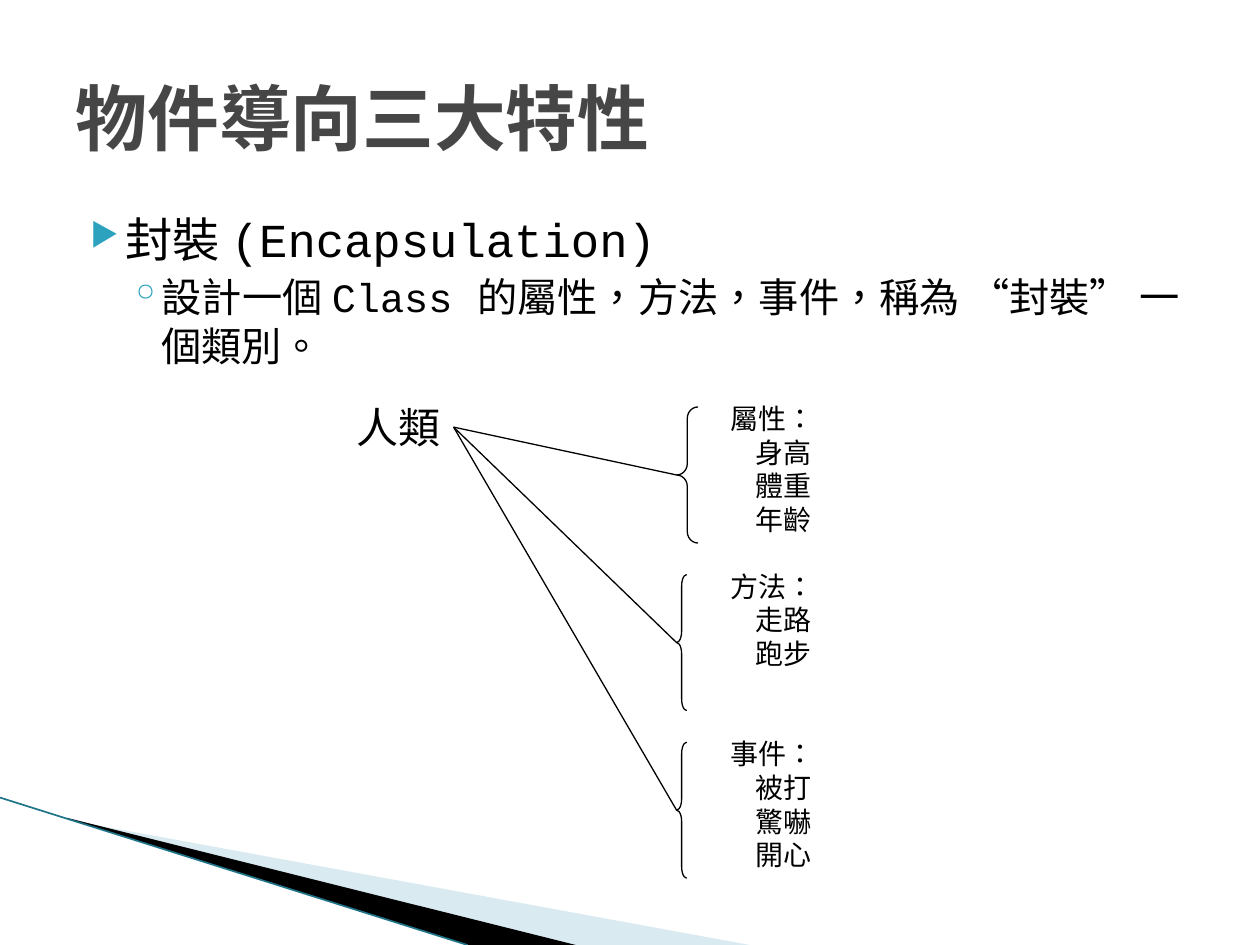
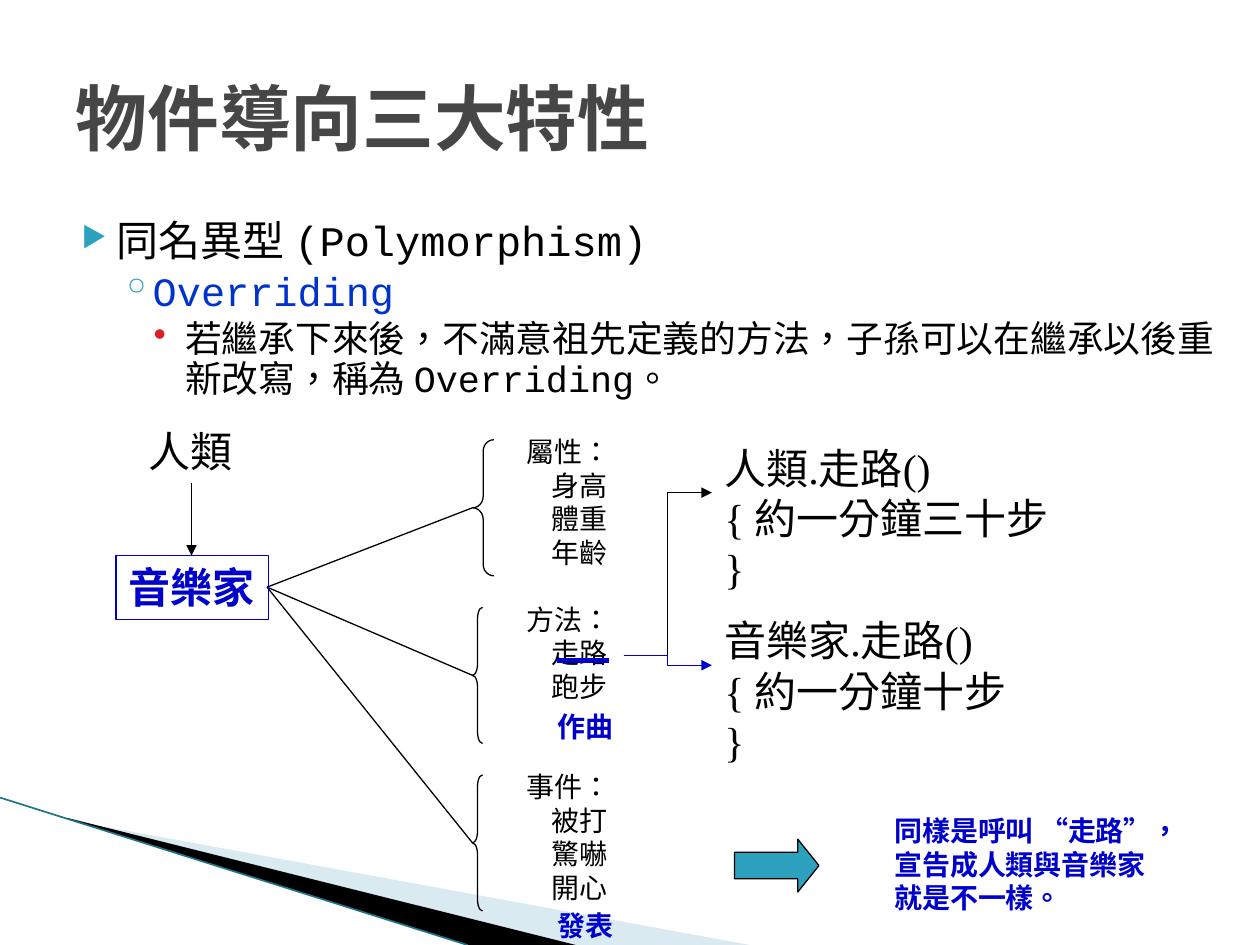
"""Build two slides on the features of object orientation."""
from dataclasses import dataclass

from lxml import etree
from pptx import Presentation
from pptx.dml.color import RGBColor
from pptx.enum.lang import MSO_LANGUAGE_ID as LANG
from pptx.enum.shapes import MSO_CONNECTOR as LINK, MSO_SHAPE as SHAPE
from pptx.enum.text import MSO_ANCHOR as ANCHOR, MSO_AUTO_SIZE as FIT, PP_ALIGN as ALIGN
from pptx.oxml.ns import qn
from pptx.util import Pt

PX = 9144


@dataclass(frozen=True)
class Theme:
    ink: str = "000000"
    title: str = "464646"
    accent: str = "2DA2BF"
    red: str = "DA1F28"
    new: str = "0000CC"
    keyword: str = "0033CC"
    pale: str = "A0CBDC"
    edge: str = "1F7488"
    code_font: str = "Courier New"
    text_font: str = "Times New Roman"
    title_size: int = 41
    label_size: int = 24
    member_size: int = 16
    hairline: float = 0.75


T = Theme()

TITLE = "物件導向三大特性"
TITLE_BOX = (50, 30, 900, 125)
BANDS = [
    ([(55, 651), (595, 750), (456, 750), (55, 650)], T.pale, 40),
    ([(53, 649), (457, 750), (372, 750), (54, 650)], T.ink, 100),
]
BAND_EDGE = ((0, 633), (371, 750))

LEVELS = [
    dict(indent=40, hang=28, before=0, char="▶", color=T.accent, pct=68),
    dict(indent=68, hang=25, before=3.2, char="◦", color=T.accent, pct=100),
    dict(indent=94, hang=25, before=3.5, char="•", color=T.red, pct=100),
]

ENCAPSULATION = [
    ("封裝 (Encapsulation)", 27, T.ink),
    ("設計一個 Class 的屬性，方法，事件，稱為 “封裝” 一個類別。", 23, T.ink),
]
POLYMORPHISM = [
    ("同名異型 (Polymorphism)", 24, T.ink),
    ("Overriding", 23, T.keyword),
    ("若繼承下來後，不滿意祖先定義的方法，子孫可以在繼承以後重新改寫，稱為 Overriding。", 21, T.ink),
]

MEMBERS = [
    (17, ["屬性：", "身高", "體重", "年齡"]),
    (8, ["方法：", "走路", "跑步"]),
    (8, ["事件：", "被打", "驚嚇", "開心"]),
]
MEMBER_PITCH, BRACE_HEIGHT, BRACE_RADIUS = 133, 108, 9
MEMBER_DX, MEMBER_DY, MEMBER_INDENT = 33, -9, 20
LINE_HEIGHT = 27

ADDED = [("作曲", (433, 558, 65, 37)), ("發表", (433, 716, 65, 37))]
CALLS = [
    (["人類.走路()", "{ 約一分鐘三十步 }"], (565, 346, 319, 90), (565, 391), T.ink),
    (["音樂家.走路()", "{ 約一分鐘十步 }"], (565, 483, 285, 90), (565, 528), T.new),
]
CALL_START, CALL_INSET = (495, 520), 50
REMARK = ["同樣是呼叫 “走路”，", "宣告成人類與音樂家", "就是不一樣。"]


def emu(*lengths):
    return [n * PX for n in lengths]


def rgb(color):
    return RGBColor.from_string(color)


def sub(parent, tag, **attrs):
    return etree.SubElement(parent, qn(tag), {k: str(v) for k, v in attrs.items()})


def style_runs(p, size, color, font, bold=False):
    for r in p.runs:
        f = r.font
        f.size, f.name, f.bold = Pt(size), font, bold
        f.color.rgb = rgb(color)
        f.language_id = LANG.TRADITIONAL_CHINESE


def fill_text(tf, lines, size, color=T.ink, bold=False, wrap=False):
    tf.text = "\n".join(lines)
    tf.word_wrap = wrap
    tf.auto_size = FIT.SHAPE_TO_FIT_TEXT
    tf.vertical_anchor = ANCHOR.TOP
    for p in tf.paragraphs:
        p.alignment = ALIGN.LEFT
        style_runs(p, size, color, T.text_font, bold)


def add_label(shapes, lines, box, size, **style):
    sp = shapes.add_textbox(*emu(*box))
    fill_text(sp.text_frame, lines, size, **style)
    return sp


def add_outline(shapes, kind, box, color=T.ink, fill=None):
    sp = shapes.add_shape(kind, *emu(*box))
    sp.shadow.inherit = False
    if fill:
        sp.fill.solid()
        sp.fill.fore_color.rgb = rgb(fill)
    else:
        sp.fill.background()
    sp.line.color.rgb = rgb(color)
    sp.line.width = Pt(T.hairline)
    return sp


def add_line(shapes, start, end, color=T.ink, width=T.hairline, kind=LINK.STRAIGHT, arrow=False):
    cx = shapes.add_connector(kind, *emu(*start, *end))
    cx.line.color.rgb = rgb(color)
    cx.line.width = Pt(width)
    if arrow:
        sub(cx.line._get_or_add_ln(), "a:tailEnd", type="triangle")
    sub(cx._element.spPr, "a:effectLst")


def add_bands(shapes):
    for (first, *rest), color, opacity in BANDS:
        fb = shapes.build_freeform(*first, scale=PX)
        fb.add_line_segments(rest)
        sp = fb.convert_to_shape()
        sp.shadow.inherit = False
        sp.fill.solid()
        sp.fill.fore_color.rgb = rgb(color)
        sp.line.fill.background()
        if opacity < 100:
            clr = sp._element.spPr.find(qn("a:solidFill"))[0]
            sub(clr, "a:alpha", val=opacity * 1000)
    add_line(shapes, *BAND_EDGE, color=T.edge, width=0.95)


def add_slide(prs):
    s = prs.slides.add_slide(prs.slide_layouts[5])
    add_bands(s.shapes)
    sp = s.shapes.title
    sp.left, sp.top, sp.width, sp.height = emu(*TITLE_BOX)
    tf = sp.text_frame
    tf.text = TITLE
    tf.vertical_anchor = ANCHOR.MIDDLE
    p = tf.paragraphs[0]
    p.alignment = ALIGN.LEFT
    style_runs(p, T.title_size, T.title, T.code_font, bold=True)
    return s.shapes


def add_bullets(shapes, items, box, spacing):
    tf = shapes.add_textbox(*emu(*box)).text_frame
    tf.word_wrap = True
    tf.text = "\n".join(text for text, _, _ in items)
    for level, (p, (_, size, color)) in enumerate(zip(tf.paragraphs, items)):
        look = LEVELS[level]
        p.level = level
        p.line_spacing = spacing
        p.space_before = Pt(look["before"])
        pPr = p._p.get_or_add_pPr()
        pPr.set("marL", str(look["indent"] * PX))
        pPr.set("indent", str(-look["hang"] * PX))
        sub(sub(pPr, "a:buClr"), "a:srgbClr", val=look["color"])
        sub(pPr, "a:buSzPct", val=look["pct"] * 1000)
        sub(pPr, "a:buChar", char=look["char"])
        style_runs(p, size, color, T.code_font)


def add_members(shapes, x, y, origin):
    group = shapes.add_group_shape().shapes
    fan = shapes.add_group_shape().shapes
    for i, (width, lines) in enumerate(MEMBERS):
        top = y + i * MEMBER_PITCH
        brace = add_outline(group, SHAPE.LEFT_BRACE, (x, top, width, BRACE_HEIGHT))
        brace.adjustments[0] = BRACE_RADIUS / width
        box = (x + MEMBER_DX, top + MEMBER_DY, 87, 9 + LINE_HEIGHT * len(lines))
        label = add_label(group, lines, box, T.member_size)
        for p in label.text_frame.paragraphs[1:]:
            p._p.get_or_add_pPr().set("marL", str(MEMBER_INDENT * PX))
        add_line(fan, origin, (x, top + BRACE_HEIGHT // 2))


def build_encapsulation(prs):
    shapes = add_slide(prs)
    add_bullets(shapes, ENCAPSULATION, (50, 162, 900, 495), 1.0)
    add_label(shapes, ["人類"], (273, 314, 87, 50), T.label_size)
    add_members(shapes, 537, 323, (360, 339))


def build_polymorphism(prs):
    shapes = add_slide(prs)
    add_bullets(shapes, POLYMORPHISM, (43, 170, 932, 157), 0.9)
    add_label(shapes, ["人類"], (108, 333, 87, 50), T.label_size)
    add_line(shapes, (152, 383), (152, 441), arrow=True)
    add_members(shapes, 375, 349, (212, 466))
    musician = add_outline(shapes, SHAPE.RECTANGLE, (92, 441, 121, 51), T.new)
    fill_text(musician.text_frame, ["音樂家"], T.label_size, T.new, bold=True)
    for text, box in ADDED:
        add_label(shapes, [text], box, T.member_size, color=T.new, bold=True)
    add_line(shapes, (442, 524), (483, 524), T.new, 3)
    for lines, box, tip, color in CALLS:
        call = add_label(shapes, lines, box, T.label_size, wrap=True)
        call.text_frame.margin_right = CALL_INSET * PX
        add_line(shapes, CALL_START, tip, color, kind=LINK.ELBOW, arrow=True)
    add_label(shapes, REMARK, (700, 641, 226, 90), T.member_size, color=T.new, bold=True, wrap=True)
    arrow = add_outline(shapes, SHAPE.RIGHT_ARROW, (583, 666, 67, 42), fill=T.accent)
    arrow.adjustments[1] = 0.4


def main():
    prs = Presentation()
    prs.slide_width, prs.slide_height = emu(1000, 750)
    build_encapsulation(prs)
    build_polymorphism(prs)
    prs.save("out.pptx")


if __name__ == "__main__":
    main()
